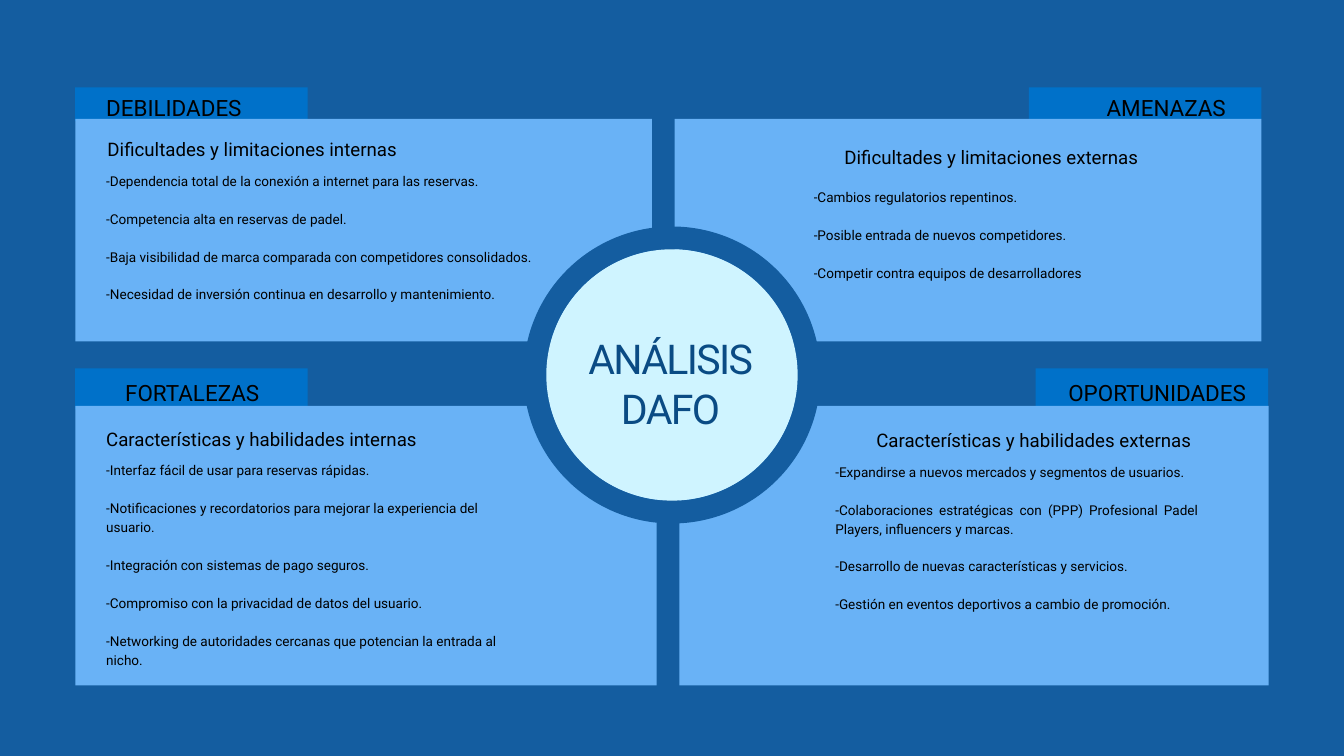
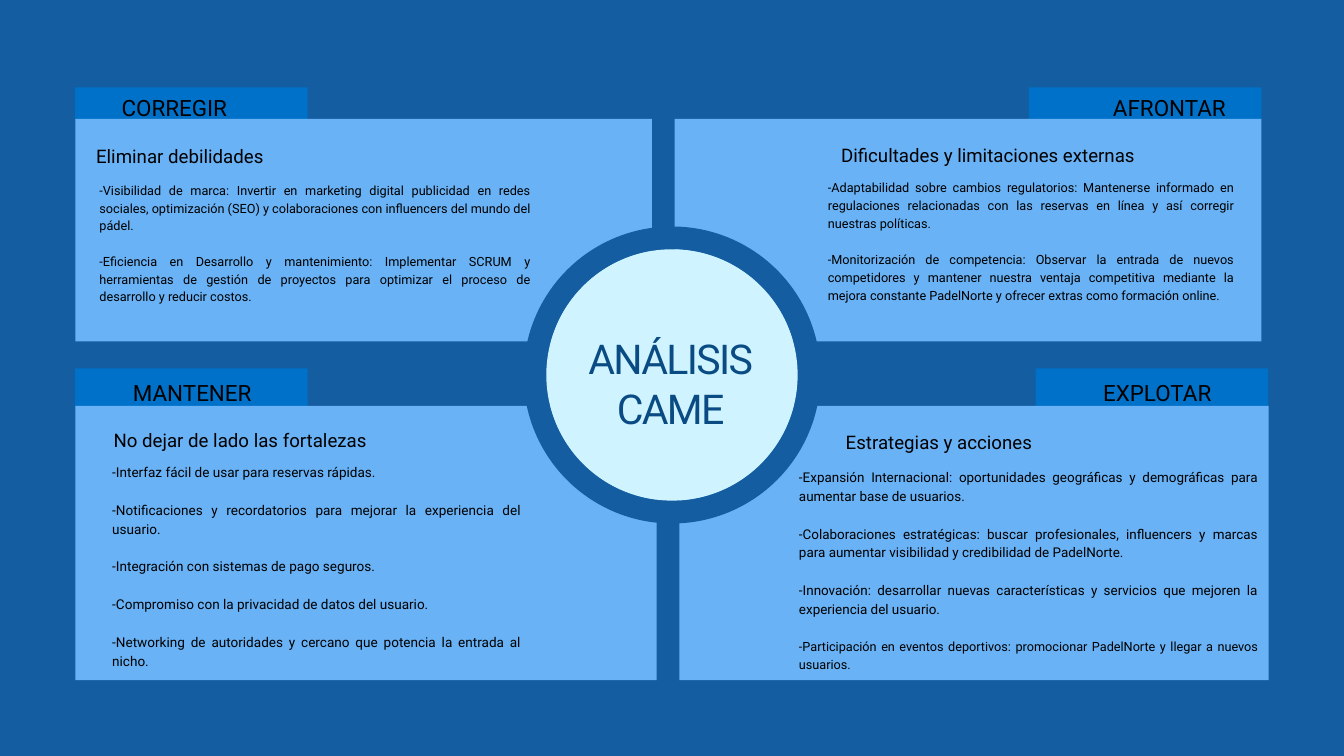
"""Build the DAFO and CAME analysis slides."""
from dataclasses import dataclass

from pptx import Presentation
from pptx import util as u
from pptx.dml.color import RGBColor
from pptx.enum import shapes, text
from pptx.oxml import ns

LEFT, CENTER, RIGHT, JUSTIFY = (
    text.PP_ALIGN.LEFT, text.PP_ALIGN.CENTER, text.PP_ALIGN.RIGHT, text.PP_ALIGN.JUSTIFY)


@dataclass(frozen=True)
class Theme:
    font: str = "Roboto"
    navy: str = "145DA0"
    tab: str = "0071C9"
    panel: str = "69B2F6"
    disc: str = "CFF4FF"
    title: str = "0A4B84"
    ink: str = "000000"
    title_size: float = 44
    label_size: float = 24
    heading_size: float = 20
    body_size: float = 14.5
    medium_size: float = 14.4
    small_size: float = 13.6
    leading: float = 1.4
    title_leading: float = 1.21
    title_tracking: float = -1.8
    item_gap: float = 20.3


THEME = Theme()


@dataclass
class Block:
    lines: list
    left: float
    top: float
    width: float
    height: float = 0.38
    align: int = LEFT
    size: float = THEME.body_size
    gap: float = THEME.item_gap
    last_size: float = 0


def label(line, left, top, width, align=CENTER):
    return Block([line], left, top, width, 0.43, align, THEME.label_size)


def heading(line, left, top, width, align=LEFT):
    return Block([line], left, top, width, align=align, size=THEME.heading_size)


class Deck:
    def __init__(self, theme):
        self.theme = theme
        self.presentation = Presentation()
        self.presentation.slide_width = u.Inches(20)
        self.presentation.slide_height = u.Inches(11.25)
        self.paint(self.presentation.slide_master.background.fill, theme.navy)
        self.slide = None

    def paint(self, fill, color):
        fill.solid()
        fill.fore_color.rgb = RGBColor.from_string(color)

    def finish(self, shape, color):
        shape.shadow.inherit = False
        self.paint(shape.fill, color)
        shape.line.fill.background()
        return shape

    def add_slide(self):
        self.slide = self.presentation.slides.add_slide(self.presentation.slide_layouts[5])

    def shape(self, kind, left, top, width, height, color):
        shape = self.slide.shapes.add_shape(
            kind, u.Inches(left), u.Inches(top), u.Inches(width), u.Inches(height))
        return self.finish(shape, color)

    def tab(self, left, top, shoulder, width=3.46, drop=0.8):
        right, middle = left + width, left + width / 2
        corners = [(left, shoulder), (middle, shoulder + drop), (right, shoulder), (right, top)]
        builder = self.slide.shapes.build_freeform(u.Inches(left), u.Inches(top))
        builder.add_line_segments([(u.Inches(x), u.Inches(y)) for x, y in corners])
        self.finish(builder.convert_to_shape(), self.theme.tab)

    def circle(self, center_x=10, center_y=5.58, outer=4.42, inner=3.74):
        ring = self.shape(shapes.MSO_SHAPE.DONUT, center_x - outer / 2,
                          center_y - outer / 2, outer, outer, self.theme.navy)
        ring.adjustments[0] = (outer - inner) / 2 / outer
        self.shape(shapes.MSO_SHAPE.OVAL, center_x - inner / 2,
                   center_y - inner / 2, inner, inner, self.theme.disc)

    def frame(self, shape):
        frame = shape.text_frame
        frame.margin_left = frame.margin_top = frame.margin_right = frame.margin_bottom = 0
        frame.word_wrap = True
        frame.vertical_anchor = text.MSO_ANCHOR.TOP
        return frame

    def add_line(self, frame, index, line, size, leading, align, color):
        paragraph = frame.add_paragraph() if index else frame.paragraphs[0]
        paragraph.alignment = align
        paragraph.line_spacing = u.Pt(size * leading)
        run = paragraph.add_run()
        run.text = line
        run.font.name = self.theme.font
        run.font.size = u.Pt(size)
        run.font.color.rgb = RGBColor.from_string(color)
        return paragraph

    def title(self, lines):
        theme, shape = self.theme, self.slide.shapes.title
        shape.left, shape.top = u.Inches(7.9), u.Inches(4.96)
        shape.width, shape.height = u.Inches(4.16), u.Inches(1.47)
        shape.element.getparent().append(shape.element)
        frame = self.frame(shape)
        frame.auto_size = text.MSO_AUTO_SIZE.NONE
        for index, line in enumerate(lines):
            paragraph = self.add_line(frame, index, line, theme.title_size,
                                      theme.title_leading, CENTER, theme.title)
            paragraph.space_before = u.Pt(0)
        for properties in shape.element.iter(ns.qn("a:rPr")):
            properties.set("spc", str(int(theme.title_tracking * 100)))

    def text(self, block):
        box = self.slide.shapes.add_textbox(
            u.Inches(block.left), u.Inches(block.top),
            u.Inches(block.width), u.Inches(block.height))
        frame = self.frame(box)
        frame.auto_size = text.MSO_AUTO_SIZE.SHAPE_TO_FIT_TEXT
        last = len(block.lines) - 1
        for index, line in enumerate(block.lines):
            size = block.last_size if block.last_size and index == last else block.size
            paragraph = self.add_line(frame, index, line, size, self.theme.leading,
                                      block.align, self.theme.ink)
            if index:
                paragraph.space_before = u.Pt(block.gap)

    def quadrants(self, lower_height):
        for tab, panel in (
            ((1.12, 5.48, 6.09), (1.12, 6.04, 8.65, lower_height)),
            ((15.41, 5.48, 6.09), (10.11, 6.04, 8.77, lower_height)),
            ((1.12, 1.3, 1.8), (1.12, 1.77, 8.58, 3.31)),
            ((15.31, 1.3, 1.77), (10.04, 1.77, 8.73, 3.31)),
        ):
            self.tab(*tab)
            self.shape(shapes.MSO_SHAPE.RECTANGLE, *panel, self.theme.panel)

    def analysis(self, name, lower_height, blocks):
        self.add_slide()
        self.quadrants(lower_height)
        self.circle()
        self.title(["ANÁLISIS", name])
        for block in blocks:
            self.text(block)


DAFO = [
    label("DEBILIDADES", 1.58, 1.34, 2.46, JUSTIFY),
    heading("Dificultades y limitaciones internas", 1.6, 2, 5.23),
    Block([
        "-Dependencia total de la conexión a internet para las reservas.",
        "-Competencia alta en reservas de padel.",
        "-Baja visibilidad de marca comparada con competidores consolidados.",
        "-Necesidad de inversión continua en desarrollo y mantenimiento.",
    ], 1.58, 2.53, 6.41, 2.52, JUSTIFY),
    label("AMENAZAS", 15.55, 1.34, 2.69, RIGHT),
    heading("Dificultades y limitaciones externas", 11.67, 2.11, 5.27, RIGHT),
    Block([
        "-Cambios regulatorios repentinos.",
        "-Posible entrada de nuevos competidores.",
        "-Competir contra equipos de desarrolladores",
    ], 12.11, 2.77, 6.04, 1.68),
    label("FORTALEZAS", 1.45, 5.58, 2.82),
    heading("Características y habilidades internas", 1.58, 6.31, 5.53),
    Block([
        "-Interfaz fácil de usar para reservas rápidas.",
        "-Notificaciones y recordatorios para mejorar la experiencia del usuario.",
        "-Integración con sistemas de pago seguros.",
        "-Compromiso con la privacidad de datos del usuario.",
        "-Networking de autoridades cercanas que potencian la entrada al nicho.",
    ], 1.58, 6.84, 5.98, 3.36),
    label("OPORTUNIDADES", 15.71, 5.58, 3.02),
    heading("Características y habilidades externas", 11.7, 6.33, 6.03, RIGHT),
    Block([
        "-Expandirse a nuevos mercados y segmentos de usuarios.",
        "-Colaboraciones estratégicas con (PPP) Profesional Padel Players, "
        "influencers y marcas.",
        "-Desarrollo de nuevas características y servicios.",
        "-Gestión en eventos deportivos a cambio de promoción.",
    ], 12.43, 6.86, 5.4, 3.08, JUSTIFY),
]

CAME = [
    label("CORREGIR", 1.81, 1.34, 2.46, JUSTIFY),
    heading("Eliminar debilidades", 1.43, 2.1, 5.16),
    Block([
        "-Visibilidad de marca: Invertir en marketing digital publicidad en redes sociales, "
        "optimización (SEO) y colaboraciones con influencers del mundo del pádel.",
        "-Eficiencia en Desarrollo y mantenimiento: Implementar SCRUM y herramientas de "
        "gestión de proyectos para optimizar el proceso de desarrollo y reducir costos.",
    ], 1.48, 2.68, 6.41, 2.23, JUSTIFY, THEME.small_size, 19),
    label("AFRONTAR", 15.55, 1.34, 2.69, RIGHT),
    heading("Dificultades y limitaciones externas", 11.62, 2.08, 5.27, RIGHT),
    Block([
        "-Adaptabilidad sobre cambios regulatorios: Mantenerse informado en regulaciones "
        "relacionadas con las reservas en línea y así corregir nuestras políticas.",
        "-Monitorización de competencia: Observar la entrada de nuevos competidores y "
        "mantener nuestra ventaja competitiva mediante la mejora constante PadelNorte "
        "y ofrecer extras como formación online.",
    ], 12.32, 2.64, 6.04, 2.1, JUSTIFY, THEME.small_size),
    label("MANTENER", 1.45, 5.58, 2.82),
    heading("No dejar de lado las fortalezas", 1.69, 6.32, 5.53),
    Block([
        "-Interfaz fácil de usar para reservas rápidas.",
        "-Notificaciones y recordatorios para mejorar la experiencia del usuario.",
        "-Integración con sistemas de pago seguros.",
        "-Compromiso con la privacidad de datos del usuario.",
        "-Networking de autoridades y cercano que potencia la entrada al nicho.",
    ], 1.67, 6.86, 6.08, 3.65, JUSTIFY),
    label("EXPLOTAR", 15.71, 5.58, 3.02),
    heading("Estrategias y acciones", 12.26, 6.35, 3.1, RIGHT),
    Block([
        "-Expansión Internacional: oportunidades geográficas y demográficas para aumentar "
        "base de usuarios.",
        "-Colaboraciones estratégicas: buscar profesionales, influencers y marcas para "
        "aumentar visibilidad y credibilidad de PadelNorte.",
        "-Innovación: desarrollar nuevas características y servicios que mejoren la "
        "experiencia del usuario.",
        "-Participación en eventos deportivos: promocionar PadelNorte y llegar a nuevos "
        "usuarios.",
    ], 11.89, 6.94, 6.83, 2.95, JUSTIFY, THEME.medium_size, last_size=THEME.small_size),
]


def main():
    deck = Deck(THEME)
    deck.analysis("DAFO", 4.16, DAFO)
    deck.analysis("CAME", 4.08, CAME)
    deck.presentation.save("out.pptx")


if __name__ == "__main__":
    main()
